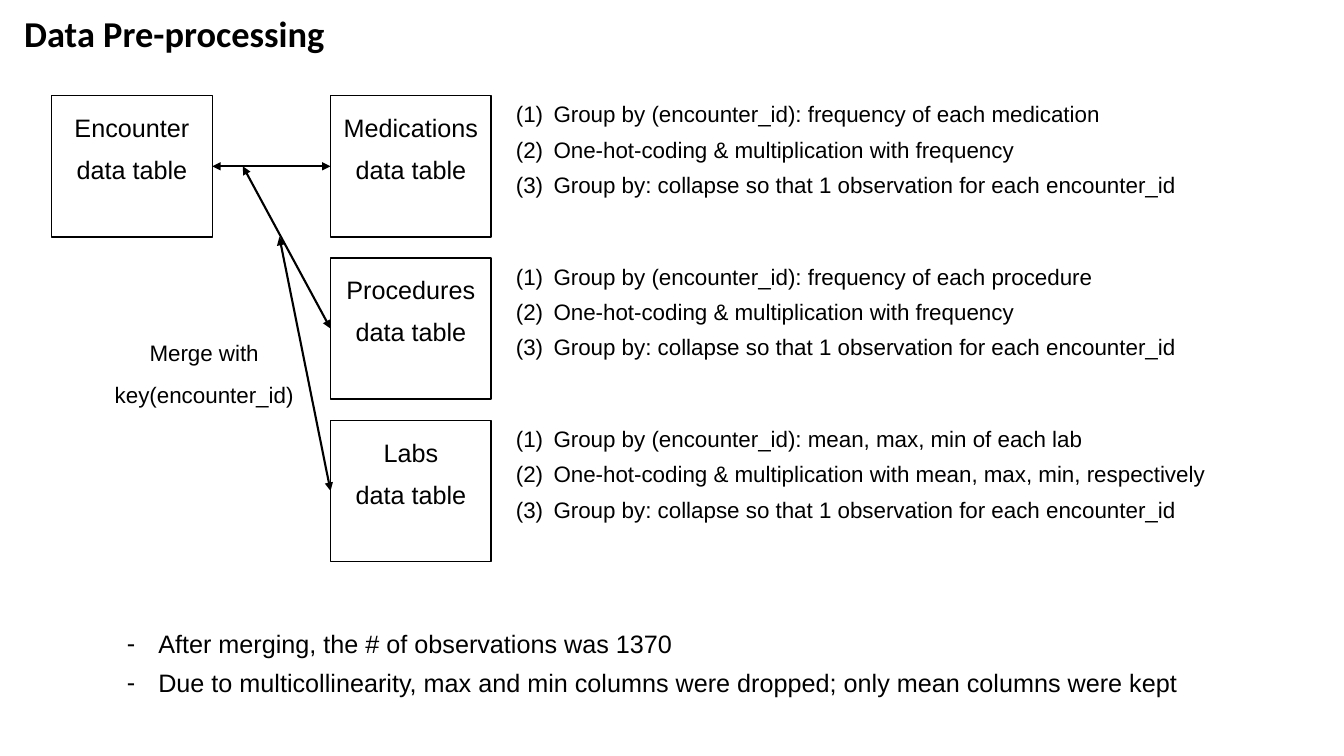
from dataclasses import dataclass
from typing import Any

from lxml.etree import SubElement
from pptx import Presentation
from pptx.dml.color import RGBColor
from pptx.enum.shapes import MSO_CONNECTOR, MSO_SHAPE
from pptx.enum.text import MSO_ANCHOR, MSO_AUTO_SIZE as AutoSize, PP_ALIGN
from pptx.oxml.ns import qn
from pptx.util import Cm, Pt

BLACK = RGBColor(0x00, 0x00, 0x00)

TABLE_WIDTH, TABLE_HEIGHT = 4.05, 3.56
ENCOUNTER_LEFT, MERGED_LEFT, STEPS_LEFT = 1.3, 8.33, 12.75
FIRST_TOP, ROW_PITCH = 2.41, 4.09

TITLE_FONT = {"name": "Calibri", "size": Pt(26), "bold": True}
TABLE_FONT = {"name": "Arial", "size": Pt(18)}
DETAIL_FONT = {"name": "Arial", "size": Pt(16)}

CENTERED = {"alignment": PP_ALIGN.CENTER, "line_spacing": Pt(30)}
LISTED = {"space_after": Pt(6)}

TEXT_FRAME = {"word_wrap": True, "auto_size": AutoSize.SHAPE_TO_FIT_TEXT}
TABLE_FRAME = {"word_wrap": True, "auto_size": AutoSize.NONE, "vertical_anchor": MSO_ANCHOR.TOP}

NUMBERED = ("a:buAutoNum", {"type": "arabicParenBoth"})
DASHED = ("a:buChar", {"char": "-"})

ONE_HOT = "One-hot-coding & multiplication with "
COLLAPSE = "Group by: collapse so that 1 observation for each encounter_id"


@dataclass(frozen=True)
class Area:
    left: float
    top: float
    width: float
    height: float

    def emu(self) -> tuple[Cm, Cm, Cm, Cm]:
        return Cm(self.left), Cm(self.top), Cm(self.width), Cm(self.height)


@dataclass(frozen=True)
class Source:
    name: str
    grouped: str
    multiplier: str
    merge_start: tuple[float, float]

    def steps(self) -> list[str]:
        return [f"Group by (encounter_id): {self.grouped}", ONE_HOT + self.multiplier, COLLAPSE]


@dataclass(frozen=True)
class Bullet:
    mark: tuple[str, dict[str, str]]
    indent: float


SOURCES = [
    Source("Medications", "frequency of each medication", "frequency", (5.35, 4.19)),
    Source("Procedures", "frequency of each procedure", "frequency", (6.12, 4.19)),
    Source("Labs", "mean, max, min of each lab", "mean, max, min, respectively", (7.04, 5.97)),
]
OUTCOMES = [
    "After merging, the # of observations was 1370",
    "Due to multicollinearity, max and min columns were dropped; only mean columns were kept",
]


def apply(target: Any, values: dict[str, Any]) -> None:
    for attribute, value in values.items():
        setattr(target, attribute, value)


def add_bullet(paragraph: Any, bullet: Bullet) -> None:
    properties = paragraph._p.get_or_add_pPr()
    properties.set("marL", str(Cm(bullet.indent)))
    properties.set("indent", str(-Cm(bullet.indent)))
    SubElement(properties, qn("a:buFont"), typeface="Arial")
    tag, settings = bullet.mark
    SubElement(properties, qn(tag), settings)


def write(frame: Any, lines: list[str], font: dict[str, Any], layout: dict[str, Any],
          bullet: Bullet | None = None) -> None:
    for number, line in enumerate(lines):
        paragraph = frame.add_paragraph() if number else frame.paragraphs[0]
        apply(paragraph, layout)
        if bullet:
            add_bullet(paragraph, bullet)
        run = paragraph.add_run()
        run.text = line
        apply(run.font, font)
        run.font.color.rgb = BLACK


def add_text(slide: Any, area: Area, lines: list[str], font: dict[str, Any],
             layout: dict[str, Any], bullet: Bullet | None = None) -> None:
    frame = slide.shapes.add_textbox(*area.emu()).text_frame
    apply(frame, TEXT_FRAME)
    write(frame, lines, font, layout, bullet)


def add_data_table(slide: Any, name: str, left: float, top: float) -> Any:
    area = Area(left, top, TABLE_WIDTH, TABLE_HEIGHT)
    data_table = slide.shapes.add_shape(MSO_SHAPE.RECTANGLE, *area.emu())
    data_table.shadow.inherit = False
    data_table.fill.background()
    data_table.line.color.rgb = BLACK
    data_table.line.width = Pt(1)
    apply(data_table.text_frame, TABLE_FRAME)
    write(data_table.text_frame, [name, "data table"], TABLE_FONT, CENTERED)
    return data_table


def add_merge_arrow(slide: Any, start: tuple[float, float], data_table: Any) -> None:
    x, y = (Cm(value) for value in start)
    end_y = data_table.top + data_table.height // 2
    arrow = slide.shapes.add_connector(MSO_CONNECTOR.STRAIGHT, x, y, data_table.left, end_y)
    arrow.end_connect(data_table, 1)
    arrow.line.color.rgb = BLACK
    arrow.line.width = Pt(1.5)
    for tip in ("a:headEnd", "a:tailEnd"):
        SubElement(arrow.line._get_or_add_ln(), qn(tip), type="triangle")
    SubElement(arrow._element.spPr, qn("a:effectLst"))


def main() -> None:
    deck = Presentation()
    deck.slide_width, deck.slide_height = Cm(33.87), Cm(19.05)
    slide = deck.slides.add_slide(deck.slide_layouts[6])

    add_text(slide, Area(0.36, 0.15, 12.12, 1.37), ["Data Pre-processing"], TITLE_FONT, {})
    add_data_table(slide, "Encounter", ENCOUNTER_LEFT, FIRST_TOP)

    step_bullet = Bullet(NUMBERED, 0.95)
    for row, source in enumerate(SOURCES):
        top = FIRST_TOP + row * ROW_PITCH
        merged_table = add_data_table(slide, source.name, MERGED_LEFT, top)
        steps_area = Area(STEPS_LEFT, top, 19.81, 2.74)
        add_text(slide, steps_area, source.steps(), DETAIL_FONT, LISTED, step_bullet)
        add_merge_arrow(slide, source.merge_start, merged_table)

    add_text(slide, Area(2.16, 8.05, 5.97, 2.26), ["Merge with key(encounter_id)"],
             DETAIL_FONT, CENTERED)
    add_text(slide, Area(2.95, 15.72, 27.46, 2.01), OUTCOMES, TABLE_FONT, LISTED,
             Bullet(DASHED, 0.79))
    deck.save("out.pptx")


if __name__ == "__main__":
    main()
